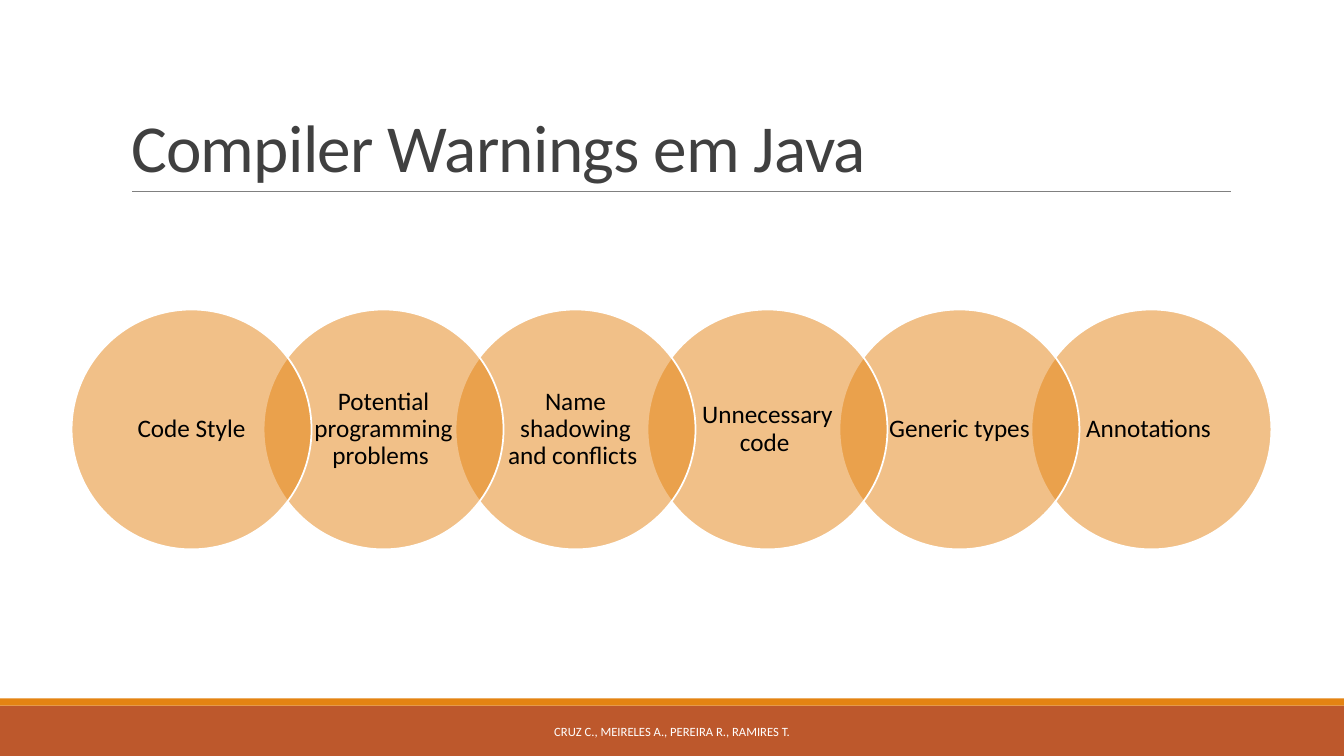
from lxml import etree
from pptx import Presentation
from pptx.dml.color import RGBColor
from pptx.enum import shapes, text
from pptx.oxml.ns import qn
from pptx.util import Inches, Pt

TITLE = "Compiler Warnings em Java "
FOOTER = "CRUZ C., MEIRELES A., PEREIRA R., RAMIRES T."
WARNINGS = [
    "Code Style",
    "Potential programming problems ",
    "Name shadowing and conflicts ",
    "Unnecessary code ",
    "Generic types",
    "Annotations ",
]
COLORS = {"orange": "E48312", "rust": "BD582C", "title": "404040",
          "rule": "808080", "white": "FFFFFF", "black": "000000"}
FONT = "Calibri"
WIDTH, HEIGHT = 13.33, 7.5
BAND_TOP, STRIPE = 7, 0.07
CIRCLE_LEFT, CIRCLE_TOP, DIAMETER = 0.71, 3.07, 2.38
PITCH = DIAMETER * 0.8  # each circle overlaps the next by a fifth


def rgb(name):
    return RGBColor.from_string(COLORS[name])


def box(*lengths):
    return [Inches(n) for n in lengths]


def add_shape(kind, area, fill):
    sp = s.shapes.add_shape(kind, *box(*area))
    sp.shadow.inherit = False
    sp.fill.solid()
    sp.fill.fore_color.rgb = rgb(fill)
    sp.line.fill.background()
    return sp


def write(sp, words, size, color, align, anchor, spacing=1.0):
    tf = sp.text_frame
    tf.text = words
    tf.word_wrap = True
    tf.auto_size = text.MSO_AUTO_SIZE.NONE
    tf.vertical_anchor = anchor
    p = tf.paragraphs[0]
    p.alignment = align
    p.line_spacing = spacing
    r = p.runs[0]
    r.font.size = Pt(size)
    r.font.name = FONT
    r.font.color.rgb = rgb(color)
    return r


prs = Presentation()
prs.slide_width, prs.slide_height = box(WIDTH, HEIGHT)
s = prs.slides.add_slide(prs.slide_layouts[5])
center, middle = text.PP_ALIGN.CENTER, text.MSO_ANCHOR.MIDDLE

# Title and the rule below it
title = s.shapes.title
title.left, title.top, title.width, title.height = box(1.2, 0.31, 11, 1.59)
r = write(title, TITLE, 48, "title", text.PP_ALIGN.LEFT, text.MSO_ANCHOR.BOTTOM, 0.85)
r.font._element.set("spc", "-50")

rule = s.shapes.add_connector(shapes.MSO_CONNECTOR.STRAIGHT, *box(1.31, 1.9, 12.21, 1.9))
rule.line.color.rgb = rgb("rule")
rule.line.width = Pt(0.5)
etree.SubElement(rule._element.spPr, qn("a:effectLst"))

# Bottom bands and footer
rect = shapes.MSO_SHAPE.RECTANGLE
add_shape(rect, (0, BAND_TOP, WIDTH, HEIGHT - BAND_TOP), "rust")
add_shape(rect, (0, BAND_TOP - STRIPE, WIDTH, STRIPE), "orange")
footer = s.shapes.add_textbox(*box(4.03, 7.06, 5.27, 0.4))
write(footer, FOOTER, 9, "white", center, middle)

# Chain of translucent circles, the leftmost in front
for i, warning in reversed(list(enumerate(WARNINGS))):
    area = (CIRCLE_LEFT + i * PITCH, CIRCLE_TOP, DIAMETER, DIAMETER)
    circle = add_shape(shapes.MSO_SHAPE.OVAL, area, "orange")
    color = circle._element.spPr.find(qn("a:solidFill"))[0]
    etree.SubElement(color, qn("a:alpha"), val="50000")
    circle.line.color.rgb = rgb("white")
    circle.line.width = Pt(1.25)
    tf = circle.text_frame
    tf.margin_left = tf.margin_right = Inches(0.13)
    tf.margin_top = tf.margin_bottom = Inches(0.03)
    write(circle, warning, 18, "black", center, middle, 0.9)

prs.save("out.pptx")
